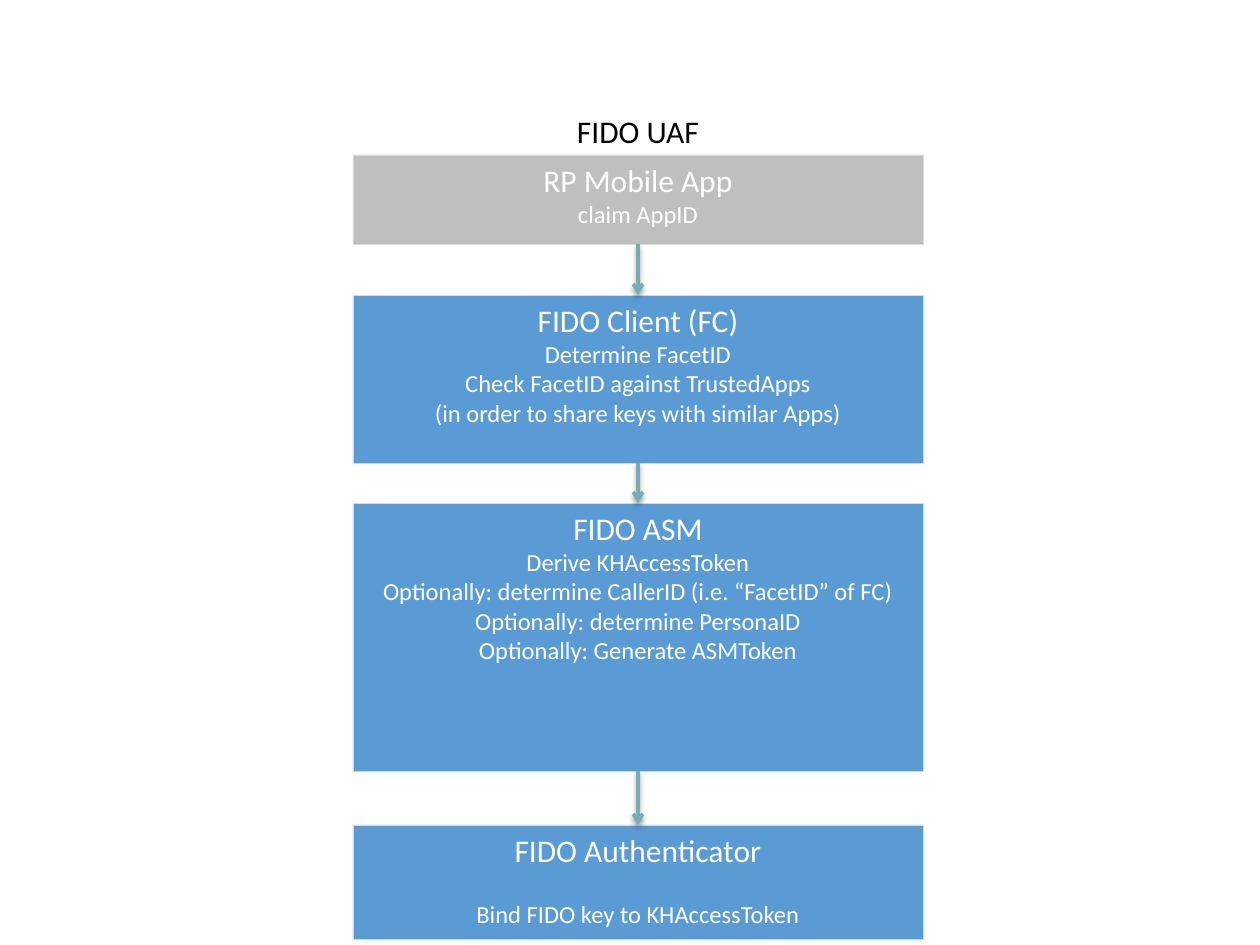
from dataclasses import dataclass
from itertools import pairwise

from lxml.etree import SubElement
from pptx import Presentation
from pptx.dml.color import RGBColor
from pptx.enum.shapes import MSO_CONNECTOR as Connector, MSO_SHAPE as Shape
from pptx.enum.text import MSO_ANCHOR as Anchor, PP_ALIGN as Align
from pptx.oxml.ns import qn
from pptx.util import Emu, Pt

# Content: top, height, fill name, heading, details, space before the details (pt)
TITLE = "FIDO UAF"
LAYERS = [
    (155, 89, "app", "RP Mobile App", ["claim AppID"], 0),
    (295, 168, "fido", "FIDO Client (FC)", [
        "Determine FacetID",
        "Check FacetID against TrustedApps\v(in order to share keys with similar Apps)",
    ], 0),
    (503, 268, "fido", "FIDO ASM", [
        "Derive KHAccessToken",
        "Optionally: determine CallerID (i.e. “FacetID” of FC)",
        "Optionally: determine PersonaID",
        "Optionally: Generate ASMToken",
    ], 0),
    (825, 114, "fido", "FIDO Authenticator", ["Bind FIDO key to KHAccessToken"], 17),
]

# Geometry in px
SLIDE_WIDTH, SLIDE_HEIGHT = 1260, 945
LEFT, WIDTH = 353, 570
TITLE_TOP, TITLE_HEIGHT = 106, 50


@dataclass(frozen=True)
class Theme:
    font: str = "Calibri"
    heading: int = 18
    detail: int = 14
    app: str = "BFBFBF"
    fido: str = "5B9BD5"
    border: str = "D9D9D9"
    arrow: str = "73AEB6"
    light: str = "FFFFFF"
    dark: str = "000000"


THEME = Theme()


def px(value):
    return Emu(round(value * 914400 / 126))


def color(name):
    return RGBColor.from_string(getattr(THEME, name))


def write(frame, heading, details, ink, gap=0):
    frame.word_wrap = True
    frame.vertical_anchor = Anchor.TOP
    frame.text = "\n".join([heading, *details])
    for index, para in enumerate(frame.paragraphs):
        para.alignment = Align.CENTER
        if index == 1:
            para.space_before = Pt(gap)
        for span in para.runs:
            span.font.name = THEME.font
            span.font.size = Pt(THEME.detail if index else THEME.heading)
            span.font.color.rgb = color(ink)


def add_layer(page, top, height, fill, heading, details, gap):
    box = page.shapes.add_shape(Shape.RECTANGLE, px(LEFT), px(top), px(WIDTH), px(height))
    box.shadow.inherit = False
    box.fill.solid()
    box.fill.fore_color.rgb = color(fill)
    box.line.color.rgb = color("border")
    box.line.width = Pt(0.25)
    write(box.text_frame, heading, details, "light", gap)


def add_arrow(page, start, end):
    middle = px(LEFT + WIDTH / 2)
    arrow = page.shapes.add_connector(Connector.STRAIGHT, middle, px(start), middle, px(end))
    arrow.line.color.rgb = color("arrow")
    arrow.line.width = Pt(2)
    # Arrowhead and soft shadow below
    SubElement(arrow.line._get_or_add_ln(), qn("a:tailEnd"), type="arrow")
    effects = SubElement(arrow._element.spPr, qn("a:effectLst"))
    shadow = SubElement(effects, qn("a:outerShdw"), blurRad=str(Pt(3.1)),
                        dist=str(Pt(1.6)), dir="5400000", rotWithShape="0")
    tint = SubElement(shadow, qn("a:srgbClr"), val=THEME.dark)
    SubElement(tint, qn("a:alpha"), val="38000")


def main():
    deck = Presentation()
    deck.slide_width, deck.slide_height = px(SLIDE_WIDTH), px(SLIDE_HEIGHT)
    page = deck.slides.add_slide(deck.slide_layouts[6])

    # Stack of layers
    for layer in LAYERS:
        add_layer(page, *layer)

    # Title above the stack
    title = page.shapes.add_textbox(px(LEFT), px(TITLE_TOP), px(WIDTH), px(TITLE_HEIGHT))
    write(title.text_frame, TITLE, [], "dark")

    # Arrows from each layer to the next
    for (top, height, *_), (next_top, *_) in pairwise(LAYERS):
        add_arrow(page, top + height, next_top)

    deck.save("out.pptx")


if __name__ == "__main__":
    main()
